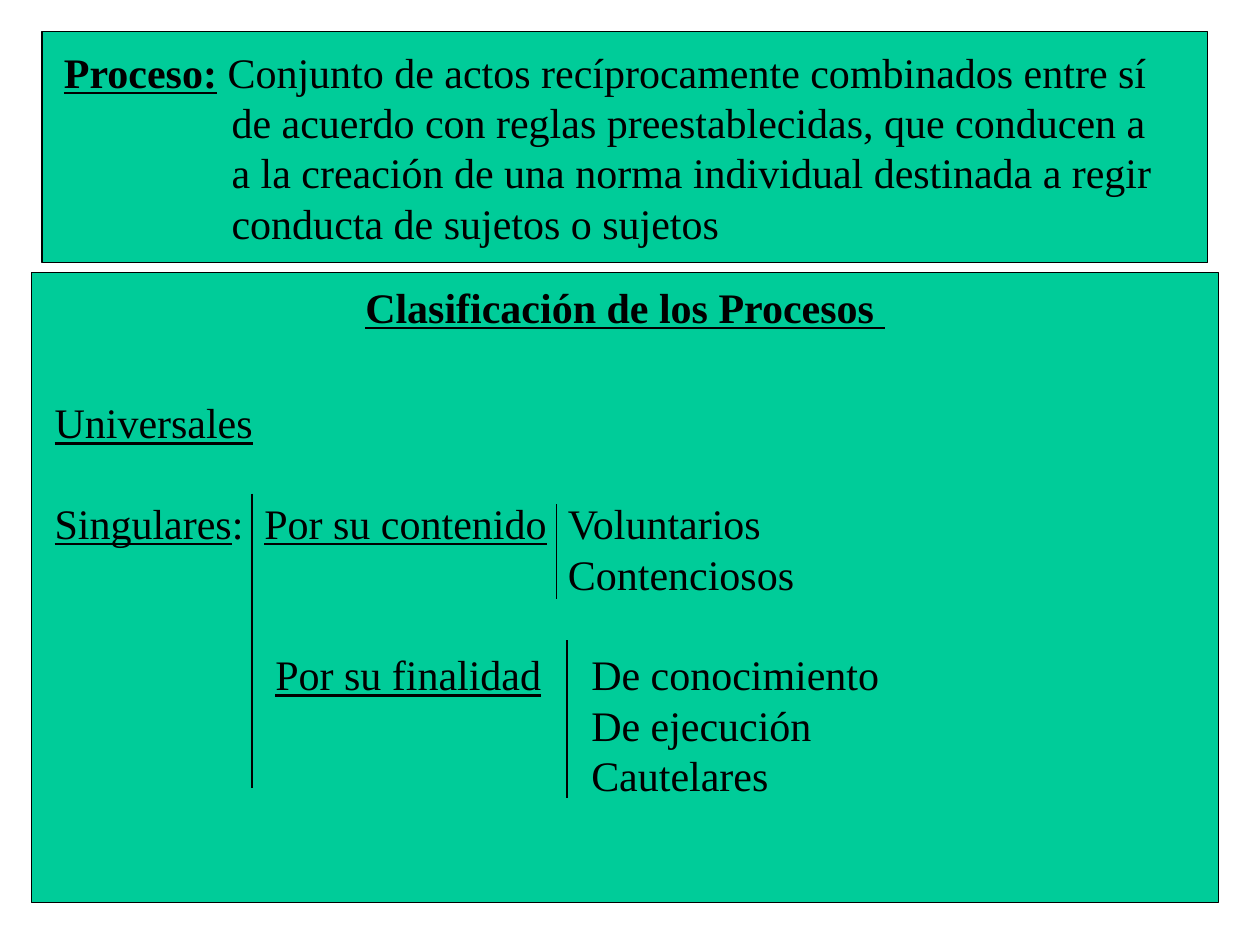
from dataclasses import dataclass

from lxml.etree import SubElement
from pptx import Presentation
from pptx.dml.color import RGBColor as Rgb
from pptx.enum.shapes import MSO_CONNECTOR as Link, MSO_SHAPE as Shape
from pptx.enum.text import PP_ALIGN as Align
from pptx.oxml.ns import qn
from pptx.util import Cm, Pt


@dataclass(frozen=True)
class Theme:
    font: str = "Times New Roman"
    size: float = 24
    lead: float = 28.8
    rule: float = 0.75
    ink: Rgb = Rgb(0, 0, 0)
    green: Rgb = Rgb(0x00, 0xCC, 0x99)


THEME = Theme()


def add_panel(slide, x, y, w, h):
    """Green rectangle with a thin black border."""
    panel = slide.shapes.add_shape(Shape.RECTANGLE, Cm(x), Cm(y), Cm(w), Cm(h))
    panel.shadow.inherit = False
    panel.fill.solid()
    panel.fill.fore_color.rgb = THEME.green
    panel.line.color.rgb = THEME.ink
    panel.line.width = Pt(THEME.rule)


def add_box(slide, x, y, w, h, fill=None):
    """Empty text box; returns its text frame."""
    box = slide.shapes.add_textbox(Cm(x), Cm(y), Cm(w), Cm(h))
    if fill is not None:
        box.fill.solid()
        box.fill.fore_color.rgb = fill
    frame = box.text_frame
    frame.word_wrap = True
    frame.margin_top = Cm(0.17)
    return frame


def add_text(frame, text, bold=False, align=Align.LEFT, indent=0, tabs=(), gap=0):
    """Add a paragraph; parts between underscores are underlined."""
    first = frame.paragraphs[0]
    para = frame.add_paragraph() if first.runs else first
    props = para._p.get_or_add_pPr()
    if indent:
        props.set("marL", str(Cm(indent)))
    if tabs:
        stops = SubElement(props, qn("a:tabLst"))
        for pos in tabs:
            SubElement(stops, qn("a:tab"), pos=str(Cm(pos)), algn="l")
    para.alignment = align
    para.line_spacing = Pt(THEME.lead)
    para.space_before = Pt(gap)
    for num, part in enumerate(text.split("_")):
        if part:
            run = para.add_run()
            run.text = part
            font = run.font
            font.name, font.size = THEME.font, Pt(THEME.size)
            font.color.rgb = THEME.ink
            font.underline = num % 2 == 1
            font.bold = bold and font.underline


def add_rule(slide, x, top, end):
    """Thin upright line that brackets a group."""
    rule = slide.shapes.add_connector(Link.STRAIGHT, Cm(x), Cm(top), Cm(x), Cm(end))
    rule.line.color.rgb = THEME.ink
    rule.line.width = Pt(THEME.rule)
    SubElement(rule._element.spPr, qn("a:effectLst"))


def main():
    deck = Presentation()
    deck.slide_width, deck.slide_height = Cm(25.4), Cm(19.05)
    slide = deck.slides.add_slide(deck.slide_layouts[6])

    # Panels
    add_panel(slide, 0.64, 5.5, 23.92, 12.7)
    add_panel(slide, 0.85, 0.64, 23.5, 4.66)

    # Definition
    frame = add_box(slide, 1.04, 0.76, 22.66, 4.32, fill=THEME.green)
    add_text(frame, "_Proceso:_ Conjunto de actos recíprocamente combinados entre sí",
             bold=True)
    for line in ("de acuerdo con reglas preestablecidas, que conducen a",
                 "a la creación de una norma individual destinada a regir",
                 "conducta de sujetos o sujetos"):
        add_text(frame, line, indent=3.38)

    # Heading
    frame = add_box(slide, 0.85, 5.5, 23.5, 1.3)
    add_text(frame, "_Clasificación de los Procesos _", bold=True, align=Align.CENTER)

    # Classification: each group has a label column and an item column
    frame = add_box(slide, 0.85, 7.83, 23.5, 10.3)
    add_text(frame, "_Universales_")
    groups = (
        ("_Singulares_:", "Por su contenido", (4.23, 10.35),
         ("Voluntarios", "Contenciosos")),
        ("", "Por su finalidad", (4.45, 10.82),
         ("De conocimiento", "De ejecución", "Cautelares")),
    )
    for head, label, tabs, items in groups:
        add_text(frame, f"{head}\t_{label}_\t{items[0]}", tabs=tabs, gap=THEME.lead)
        for item in items[1:]:
            add_text(frame, item, indent=tabs[1])

    # Bracket lines
    for x, top, end in ((11.43, 12.91, 16.09), (11.22, 10.16, 12.07),
                        (5.08, 9.95, 15.88)):
        add_rule(slide, x, top, end)

    deck.save("out.pptx")


if __name__ == "__main__":
    main()
